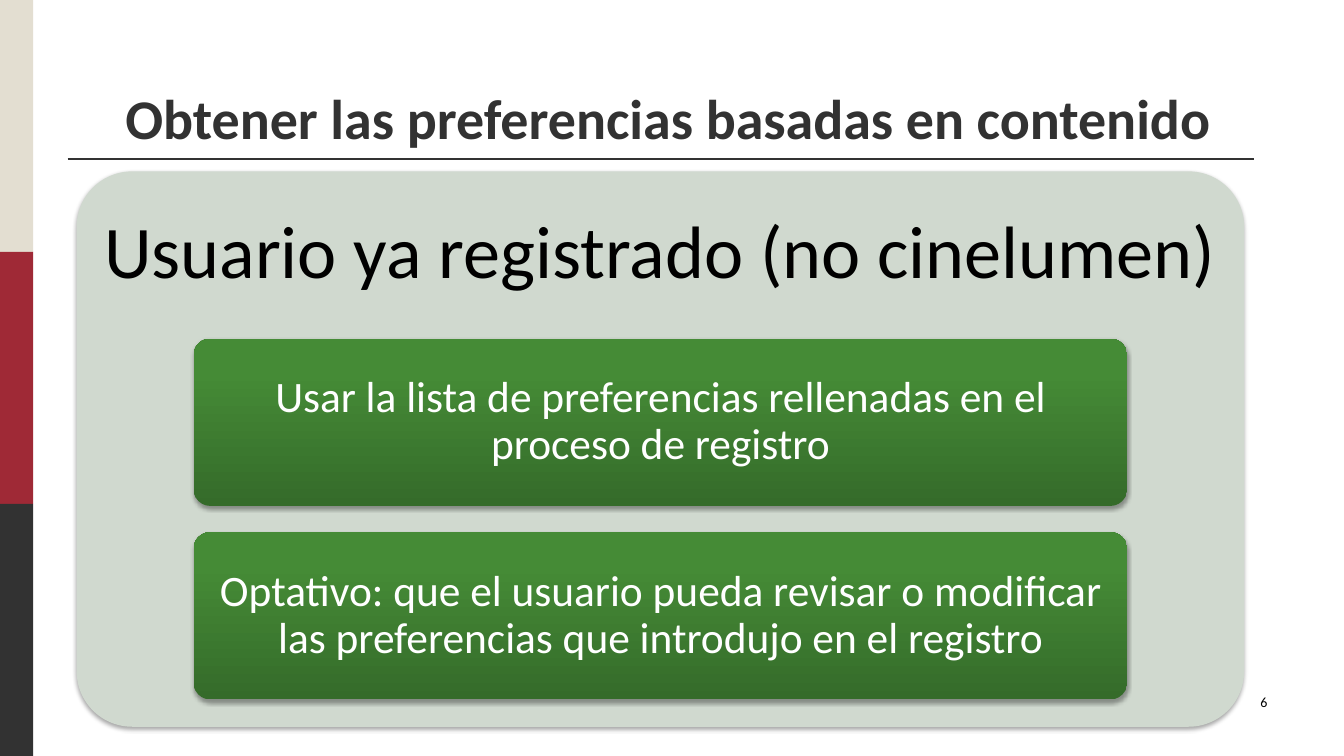
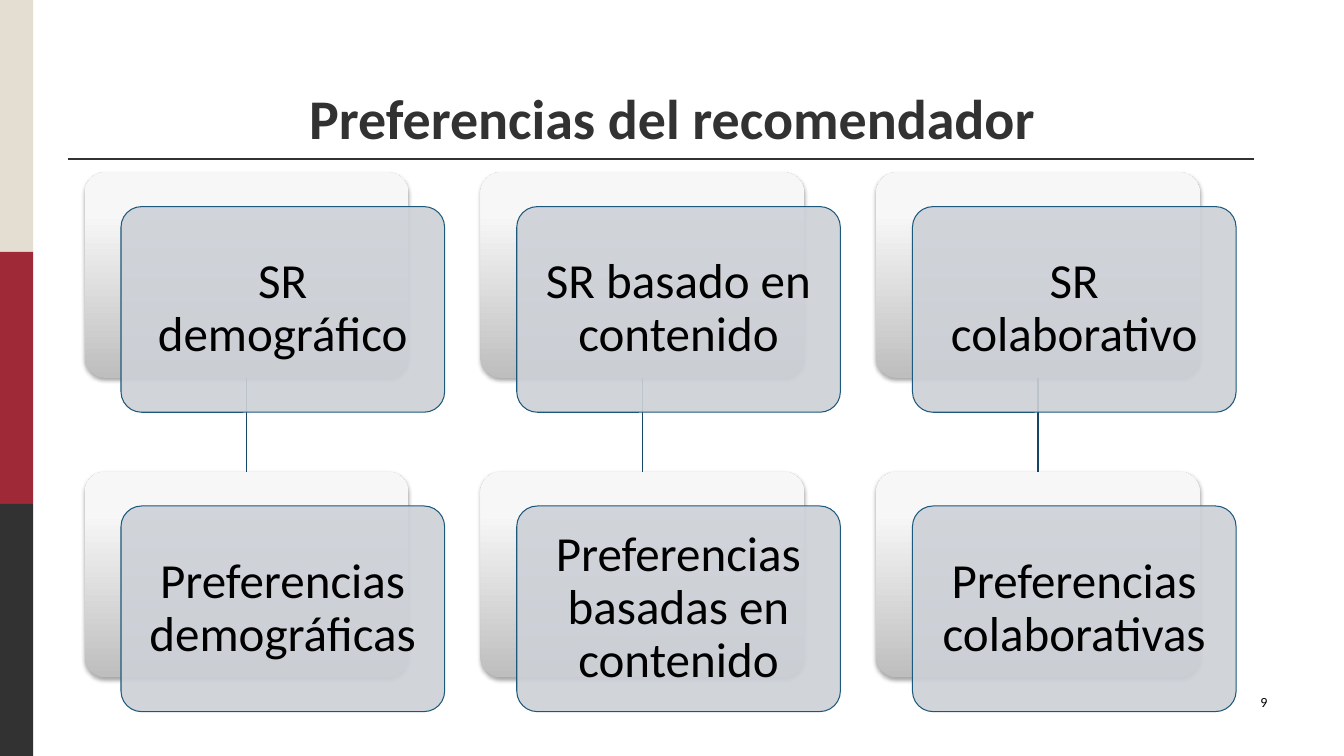
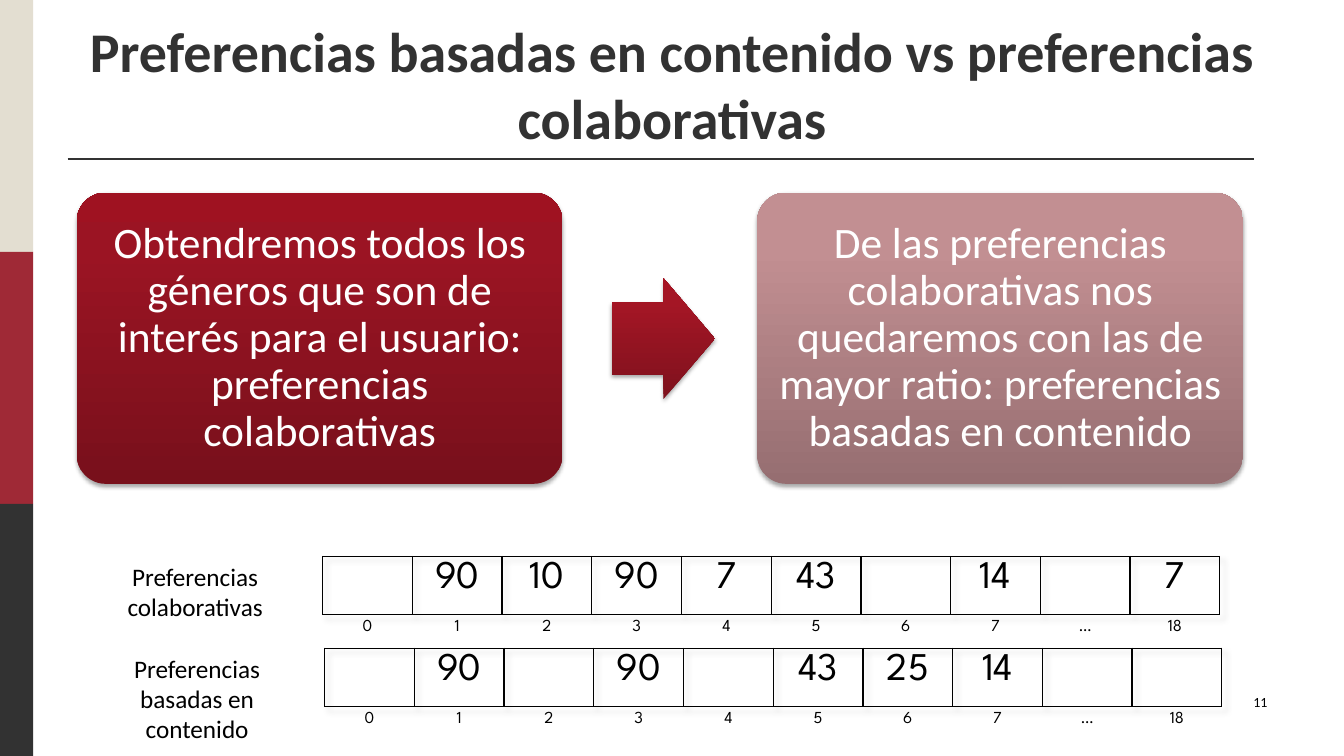
import dataclasses

import lxml.etree
import copy
import pptx
import pptx.dml.color
import pptx.enum.shapes
import pptx.enum.text
import pptx.oxml.ns
import pptx.util

Inches = pptx.util.Inches
SHAPE = pptx.enum.shapes.MSO_SHAPE
ALIGN = pptx.enum.text.PP_ALIGN
ANCHOR = pptx.enum.text.MSO_ANCHOR
qn = pptx.oxml.ns.qn


@dataclasses.dataclass(frozen=True)
class Theme:
    # Typefaces and sizes in points
    font: str = "Calibri"
    digits: str = "League Spartan"
    title_size: int = 40
    heading_size: int = 53
    pod_size: int = 35
    card_size: int = 31
    value_size: int = 28
    label_size: int = 18
    index_size: int = 12
    number_size: int = 10
    # Colours
    ink: str = "323232"
    black: str = "000000"
    white: str = "FFFFFF"
    bands: tuple = ("E3DED1", "9F2936", "323232")
    panel: str = "D0D9CF"
    pod: str = "CDD1D7"
    pod_line: str = "1B587C"
    link: str = "164663"
    # Gradients, from bottom to top
    green: tuple = ("356B2A", "458B36", "458D35")
    grey: tuple = ("BEBEBE", "F7F7F7", "F8F8F8")
    red: tuple = ("78101B", "9B1423", "9F1221")
    arrow: tuple = ("7E111D", "A41625", "A71323")
    rose: tuple = ("966E71", "C28F92", "C48F92")


THEME = Theme()


def rgb(code):
    return pptx.dml.color.RGBColor.from_string(code)


def child(parent, tag, **attributes):
    return lxml.etree.SubElement(parent, qn(tag), attributes)


# Text

def write(frame, text, size, color=THEME.black, align=ALIGN.CENTER,
          anchor=ANCHOR.TOP, margins=(0.1, 0.05), spacing=None, bold=False):
    frame.word_wrap = True
    frame.auto_size = pptx.enum.text.MSO_AUTO_SIZE.NONE
    frame.vertical_anchor = anchor
    frame.margin_left = frame.margin_right = Inches(margins[0])
    frame.margin_top = frame.margin_bottom = Inches(margins[1])
    add_span(frame.paragraphs[0], text, size, THEME.font, color, align, bold)
    if spacing:
        frame.paragraphs[0].line_spacing = spacing


def add_span(para, text, size, font, color=THEME.black, align=ALIGN.CENTER, bold=False):
    para.alignment = align
    span = para.add_run()
    span.text = text
    span.font.name = font
    span.font.size = pptx.util.Pt(size)
    span.font.bold = bold
    span.font.color.rgb = rgb(color)


def add_text(page, at, text, size, **style):
    box = page.shapes.add_textbox(*map(Inches, at))
    write(box.text_frame, text, size, **style)


# Shapes

def add_drop_shadow(effects, blur, distance, direction, opacity):
    shadow = child(effects, "a:outerShdw", blurRad=str(pptx.util.Pt(blur)),
                   dist=str(pptx.util.Pt(distance)), dir=str(direction * 60000),
                   algn="ctr", rotWithShape="0")
    color = child(shadow, "a:srgbClr", val=THEME.black)
    child(color, "a:alpha", val=str(opacity * 1000))


def fill_gradient(shape, colors):
    shape.fill.gradient()
    shape.fill.gradient_angle = 90
    stop_list = shape.element.spPr.find(".//" + qn("a:gsLst"))
    while len(stop_list) < len(colors):
        stop_list.append(copy.deepcopy(stop_list[0]))
    for stop, position, color in zip(shape.fill.gradient_stops, (0, 0.8, 1), colors):
        stop.position = position
        stop.color.rgb = rgb(color)


def add_box(page, at, fill, kind=SHAPE.ROUNDED_RECTANGLE, adjust=(0.1,),
            line=None, opacity=None, shadow=False):
    box = page.shapes.add_shape(kind, *map(Inches, at))
    for index, value in enumerate(adjust):
        box.adjustments[index] = value
    if isinstance(fill, tuple):
        fill_gradient(box, fill)
    else:
        box.fill.solid()
        box.fill.fore_color.rgb = rgb(fill)
    if opacity:
        color = box.element.spPr.find(qn("a:solidFill") + "/" + qn("a:srgbClr"))
        child(color, "a:alpha", val=str(opacity * 1000))
    if line:
        box.line.color.rgb = rgb(line)
        box.line.width = pptx.util.Pt(0.75)
    else:
        box.line.fill.background()
    box.shadow.inherit = False
    if shadow:
        add_drop_shadow(box.element.spPr.find(qn("a:effectLst")), 3.1, 1.8, 90, 35)
    return box


def add_card(page, at, fill, text, margins):
    card = add_box(page, at, fill, shadow=True)
    write(card.text_frame, text, THEME.card_size, THEME.white,
          anchor=ANCHOR.MIDDLE, margins=margins, spacing=0.9)


def add_line(page, start, end, color, width):
    line = page.shapes.add_connector(pptx.enum.shapes.MSO_CONNECTOR.STRAIGHT,
                                     *map(Inches, start + end))
    line.line.color.rgb = rgb(color)
    line.line.width = pptx.util.Pt(width)
    child(line.element.spPr, "a:effectLst")
    return line


# Frame shared by all pages

def decorate_master(deck, page):
    parts = [add_box(page, (0, 2.5 * row, 0.33, 2.5), color, SHAPE.RECTANGLE, ())
             for row, color in enumerate(THEME.bands)]
    parts.append(add_line(page, (0.67, 1.58), (12.44, 1.58), THEME.ink, 1.5))
    tree = deck.slide_master.element.cSld.spTree
    for index, part in enumerate(parts):
        part.element.find(".//" + qn("p:cNvPr")).set("id", str(100 + index))
        tree.insert(2 + index, part.element)


def add_page(deck, title, number, title_at=(0.76, 0.3, 11.81, 1.25)):
    page = deck.slides.add_slide(deck.slide_layouts[5])
    holder = page.shapes.title
    holder.left, holder.top, holder.width, holder.height = map(Inches, title_at)
    write(holder.text_frame, title, THEME.title_size, THEME.ink,
          anchor=ANCHOR.BOTTOM, bold=True)
    add_text(page, (9.56, 6.83, 3.11, 0.5), number, THEME.number_size, align=ALIGN.RIGHT)
    return page


# Stacked pair of pods joined by a line

def add_pod_column(page, left, labels):
    width, height, row_step = 3.21, 2.04, 2.97
    tops = [1.71 + row_step * row for row in range(len(labels))]
    backs = [add_box(page, (left, top, width, height), THEME.grey, shadow=True)
             for top in tops]
    middle = left + width / 2
    link = add_line(page, (middle, tops[0] + height), (middle, tops[1]), THEME.link, 0.75)
    link.begin_connect(backs[0], 2)
    link.end_connect(backs[1], 0)
    for top, label in zip(tops, labels):
        front = add_box(page, (left + 0.36, top + 0.34, width, height), THEME.pod,
                        line=THEME.pod_line, opacity=90)
        write(front.text_frame, label, THEME.pod_size, anchor=ANCHOR.MIDDLE,
              margins=(0.15, 0.15), spacing=0.9)


# Vector of values with its indexes below

def set_borders(cell, sides):
    properties = cell._tc.get_or_add_tcPr()
    for index, side in enumerate("LRTB"):
        line = lxml.etree.Element(qn("a:ln" + side), w=str(pptx.util.Pt(1)))
        if side in sides:
            child(child(line, "a:solidFill"), "a:srgbClr", val=THEME.black)
        else:
            child(line, "a:noFill")
        properties.insert(index, line)


def add_vector(page, left, top, values):
    indexes = [str(index) for index in range(8)] + ["…", "18"]
    rows = ((values, THEME.value_size, 0.58, "LRTB"),
            (indexes, THEME.index_size, 0.25, "T"))
    frame = page.shapes.add_table(len(rows), len(indexes), Inches(left), Inches(top),
                                  Inches(8.9), Inches(0.83))
    table = frame.table
    table.first_row = table.horz_banding = False
    properties = table._tbl.tblPr
    style = properties.find(qn("a:tableStyleId"))
    style.text = "{2D5ABB26-0587-4C30-8999-92F81FD0307C}"
    effects = lxml.etree.Element(qn("a:effectLst"))
    style.addprevious(effects)
    add_drop_shadow(effects, 4, 4, 45, 15)
    for column in table.columns:
        column.width = Inches(0.89)
    for row, (texts, size, height, sides) in enumerate(rows):
        table.rows[row].height = Inches(height)
        for column, text in enumerate(texts):
            cell = table.cell(row, column)
            cell.fill.background()
            cell.margin_top, cell.margin_bottom = Inches(0.05), 0
            set_borders(cell, sides)
            if text:
                add_span(cell.text_frame.paragraphs[0], text, size, THEME.digits)


# Pages

def build_registered_user(deck):
    page = add_page(deck, "Obtener las preferencias basadas en contenido", "6",
                    (0.68, 0.3, 11.89, 1.25))
    decorate_master(deck, page)
    add_box(page, (0.76, 1.7, 11.58, 5.51), THEME.panel, shadow=True)
    add_text(page, (0.76, 1.7, 11.58, 1.65), "Usuario ya registrado (no cinelumen)",
             THEME.heading_size, anchor=ANCHOR.MIDDLE, margins=(0.22, 0.22), spacing=0.9)
    options = (
        "Usar la lista de preferencias rellenadas en el proceso de registro",
        "Optativo: que el usuario pueda revisar o modificar las preferencias "
        "que introdujo en el registro",
    )
    for row, text in enumerate(options):
        add_card(page, (1.92, 3.36 + 1.92 * row, 9.26, 1.66), THEME.green, text, (0.09, 0.06))


def build_recommender(deck):
    page = add_page(deck, "Preferencias del recomendador", "9")
    columns = (
        ("SR demográfico", "Preferencias demográficas"),
        ("SR basado en contenido", "Preferencias basadas en contenido"),
        ("SR colaborativo", "Preferencias colaborativas"),
    )
    for index, labels in enumerate(columns):
        add_pod_column(page, 0.84 + 3.925 * index, labels)


def build_comparison(deck):
    page = add_page(deck, "Preferencias basadas en contenido vs preferencias colaborativas", "11")
    cards = (
        (0.76, THEME.red, "Obtendremos todos los géneros que son de interés para el "
                          "usuario: preferencias colaborativas"),
        (7.51, THEME.rose, "De las preferencias colaborativas nos quedaremos con las de "
                           "mayor ratio: preferencias basadas en contenido"),
    )
    for left, fill, text in cards:
        add_card(page, (left, 1.91, 4.82, 2.89), fill, text, (0.13, 0.13))
    add_box(page, (6.07, 2.76, 1.02, 1.2), THEME.arrow, SHAPE.RIGHT_ARROW,
            (0.6, 0.5), shadow=True)
    vectors = (
        (0.99, 5.52, 0.71, "Preferencias colaborativas",
         ("", "90", "10", "90", "7", "43", "", "14", "", "7")),
        (1.01, 6.43, 1.01, "Preferencias basadas en contenido",
         ("", "90", "", "90", "", "43", "25", "14", "", "")),
    )
    for left, top, height, label, values in vectors:
        add_vector(page, left + 2.21, top, values)
        add_text(page, (left, top, 1.89, height), label, THEME.label_size)


def main():
    deck = pptx.Presentation()
    deck.slide_width, deck.slide_height = Inches(13.33), Inches(7.5)
    build_registered_user(deck)
    build_recommender(deck)
    build_comparison(deck)
    deck.save("out.pptx")


if __name__ == "__main__":
    main()
